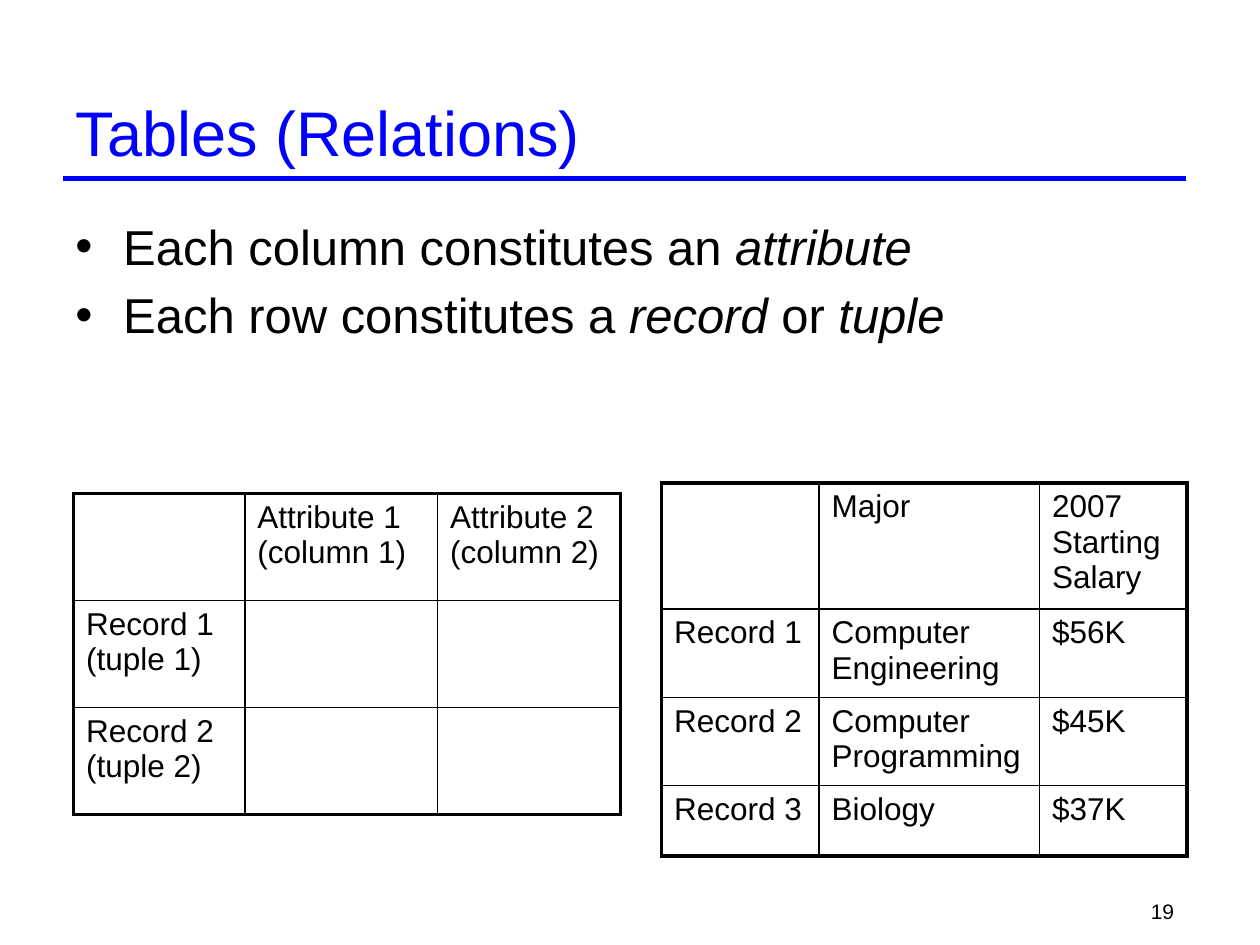
from pptx import Presentation
from pptx.dml.color import RGBColor
from pptx.enum.shapes import MSO_CONNECTOR as Connector
from pptx.enum.text import MSO_ANCHOR as Anchor, PP_ALIGN as Align
from pptx.oxml import parse_xml
from pptx.oxml.ns import nsdecls
from pptx.util import Inches, Pt

BLUE = RGBColor(0, 0, 255)
BLACK = RGBColor(0, 0, 0)
COLUMNS, ROWS = 120, 90


def element(markup):
    tag, rest = markup.split(" ", 1)
    return parse_xml(f"{tag} {nsdecls('a')} {rest}")


class Deck:
    font = "Arial"
    thin, thick = 1, 2.25

    def __init__(self, presentation):
        self.presentation = presentation
        self.slide = presentation.slides.add_slide(presentation.slide_layouts[5])

    def box(self, column, row, width, height):
        across = self.presentation.slide_width / COLUMNS
        down = self.presentation.slide_height / ROWS
        return [round(v) for v in (column * across, row * down, width * across, height * down)]

    def add_runs(self, paragraph, pieces, size, color=BLACK, align=Align.LEFT):
        paragraph.alignment = align
        for index, piece in enumerate(pieces):
            for part, line in enumerate(piece.split("\n")):
                if part:
                    paragraph.add_line_break()
                run = paragraph.add_run()
                run.text = line
                values = {"name": self.font, "size": Pt(size), "italic": index % 2 == 1}
                for name, value in values.items():
                    setattr(run.font, name, value)
                run.font.color.rgb = color

    def space_before(self, paragraph, percent=20):
        properties = paragraph._p.get_or_add_pPr()
        properties.append(element(
            f'<a:spcBef ><a:spcPct val="{percent * 1000}"/></a:spcBef>'))
        return properties

    def title(self, text, place):
        title = self.slide.shapes.title
        for name, value in zip(("left", "top", "width", "height"), self.box(*place)):
            setattr(title, name, value)
        title.text_frame.vertical_anchor = Anchor.MIDDLE
        self.add_runs(title.text_frame.paragraphs[0], [text], 36, BLUE)

    def rule(self, column, row, width):
        left, top, length, _ = self.box(column, row, width, 0)
        line = self.slide.shapes.add_connector(Connector.STRAIGHT, left, top, left + length, top)
        line.line.color.rgb = BLUE
        line.line.width = Pt(3)
        line._element.spPr.append(element("<a:effectLst />"))

    def text_frame(self, place):
        frame = self.slide.shapes.add_textbox(*self.box(*place)).text_frame
        frame.word_wrap = True
        return frame

    def text(self, text, place, size, align):
        self.add_runs(self.text_frame(place).paragraphs[0], [text], size, align=align)

    def bullets(self, items, place, size):
        frame = self.text_frame(place)
        for index, pieces in enumerate(items):
            paragraph = frame.add_paragraph() if index else frame.paragraphs[0]
            self.add_runs(paragraph, pieces, size)
            properties = self.space_before(paragraph)
            properties.set("marL", str(Inches(0.38)))
            properties.set("indent", str(-Inches(0.38)))
            properties.append(element('<a:buFont typeface="Arial"/>'))
            properties.append(element('<a:buChar char="•"/>'))

    def borders(self, cell, outer):
        properties = cell._tc.get_or_add_tcPr()
        for index, (side, edge) in enumerate(outer.items()):
            width = Pt(self.thick if edge else self.thin)
            properties.insert(index, element(
                f'<a:ln{side} w="{width}"><a:solidFill><a:srgbClr val="{BLACK}"/>'
                f'</a:solidFill></a:ln{side}>'))

    def table(self, cells, column, row, widths, heights, size=18):
        place = self.box(column, row, 12 * sum(widths), 12 * sum(heights))
        table = self.slide.shapes.add_table(len(heights), len(widths), *place).table
        table.first_row = table.horz_banding = False
        for item, width in zip(table.columns, widths):
            item.width = Inches(width)
        for item, height in zip(table.rows, heights):
            item.height = Inches(height)
        for r, texts in enumerate(cells):
            for c, text in enumerate(texts):
                cell = table.cell(r, c)
                cell.fill.background()
                self.borders(cell, {"L": c == 0, "R": c == len(widths) - 1,
                                    "T": r == 0, "B": r == len(heights) - 1})
                if text:
                    paragraph = cell.text_frame.paragraphs[0]
                    self.add_runs(paragraph, [text], size)
                    self.space_before(paragraph)


presentation = Presentation()
presentation.slide_width, presentation.slide_height = Inches(10), Inches(7.5)
deck = Deck(presentation)

deck.rule(6, 17, 107)
deck.text("19", (88, 85, 25, 3), 12, Align.RIGHT)
deck.title("Tables (Relations)", (6, 8, 107, 9))
deck.bullets([
    ["Each column constitutes an ", "attribute"],
    ["Each row constitutes a ", "record", " or ", "tuple"],
], (6, 20, 107, 64), 28)

attributes = [f"Attribute {n}\n(column {n})" for n in (1, 2)]
records = [[f"Record {n}\n(tuple {n})", "", ""] for n in (1, 2)]
deck.table([["", *attributes], *records], 7, 47, [1.36, 1.53, 1.45], [0.85] * 3)

salaries = [("Computer Engineering", "$56K"), ("Computer Programming", "$45K"), ("Biology", "$37K")]
salary_rows = [[f"Record {n}", *entry] for n, entry in enumerate(salaries, 1)]
deck.table([["", "Major", "2007 Starting Salary"], *salary_rows], 63, 46,
           [1.25, 1.75, 1.17], [0.87, 0.62, 0.62, 0.56])

presentation.save("out.pptx")
